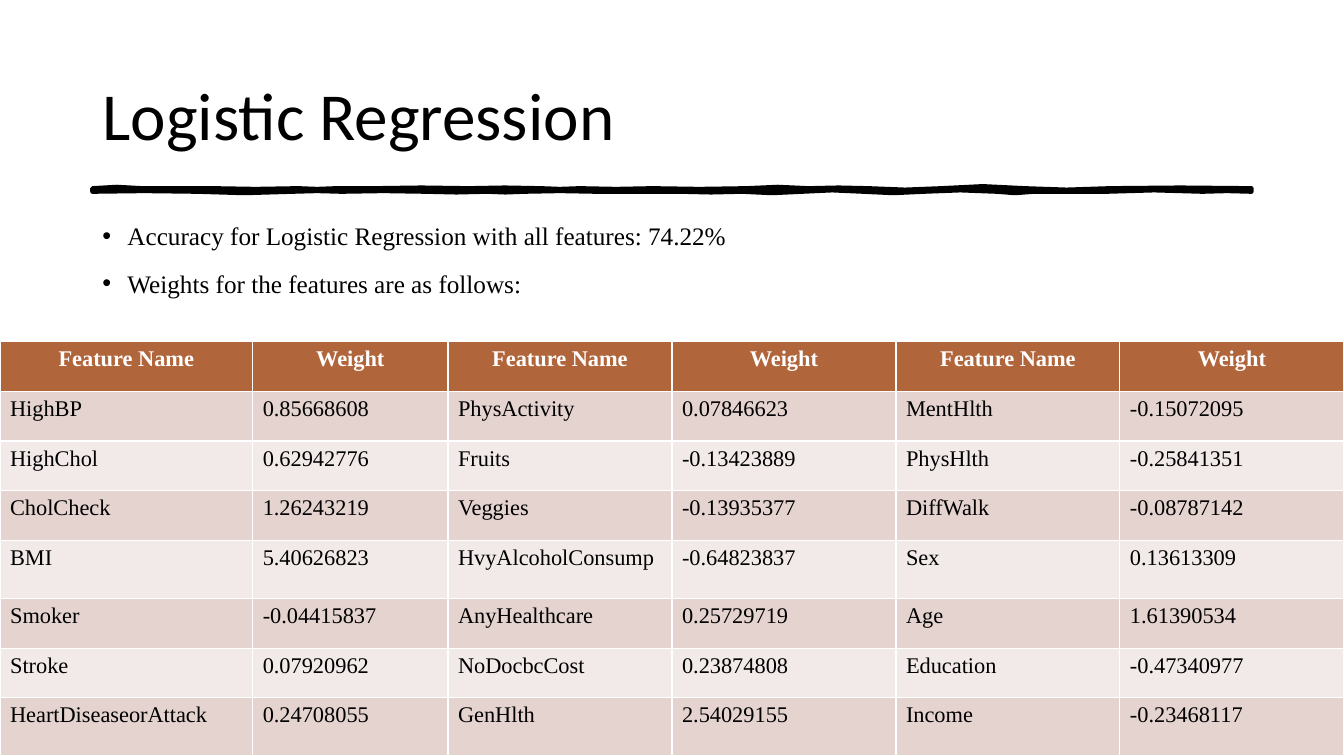
from lxml import etree
from pptx import Presentation
from pptx.dml.color import RGBColor
from pptx.enum.text import MSO_ANCHOR, PP_ALIGN
from pptx.oxml.ns import qn
from pptx.util import Pt

PX = 6350  # 144 px to the inch
LEFT, CENTER = PP_ALIGN.LEFT, PP_ALIGN.CENTER
MIDDLE = MSO_ANCHOR.MIDDLE

BLACK = RGBColor(0, 0, 0)
WHITE = RGBColor(255, 255, 255)
THEME = {
    "title": {"name": "Calibri", "size": Pt(48), "color": BLACK, "bold": False},
    "bullet": {"name": "Times New Roman", "size": Pt(18), "color": BLACK, "bold": False},
    "header": {"name": "Times New Roman", "size": Pt(16), "color": WHITE, "bold": True},
    "cell": {"name": "Times New Roman", "size": Pt(16), "color": BLACK, "bold": False},
    "header_fill": RGBColor.from_string("B1653B"),
    "band_fills": [RGBColor.from_string("F2EAE8"), RGBColor.from_string("E4D3CE")],
    "brush": BLACK,
}

MARGIN, RIGHT, CONTENT_WIDTH = 132, 1788, 1656
TABLE_TOP = 488

# Each wave of the brush line: its end x and the rise at its middle
BRUSH_TOP = [
    (203, -2), (305, 0), (426, 1), (480, 1), (534, 0), (670, -1), (773, -1), (828, 1),
    (932, 1), (1067, 1), (1155, -2), (1241, -1), (1345, 2), (1464, -3), (1585, 2), (1788, -1),
]
BRUSH_BOTTOM = [
    (1718, -1), (1581, -2), (1477, 0), (1424, 2), (1320, -2), (1233, 2), (1146, -2), (1060, 2),
    (972, 1), (852, 0), (749, -1), (696, 1), (608, 1), (488, -1), (418, -1), (281, 2), (132, -1),
]

BULLETS = [
    "Accuracy for Logistic Regression with all features: 74.22%",
    "Weights for the features are as follows:",
]
COLUMN_WIDTHS = [361, 279, 320, 320, 320, 320]
ROW_HEIGHTS = [71, 71, 71, 71, 83, 71, 71, 83]
ROWS = [
    ["Feature Name", "Weight"] * 3,
    ["HighBP", "0.85668608", "PhysActivity", "0.07846623", "MentHlth", "-0.15072095"],
    ["HighChol", "0.62942776", "Fruits", "-0.13423889", "PhysHlth", "-0.25841351"],
    ["CholCheck", "1.26243219", "Veggies", "-0.13935377", "DiffWalk", "-0.08787142"],
    ["BMI", "5.40626823", "HvyAlcoholConsump", "-0.64823837", "Sex", "0.13613309"],
    ["Smoker", "-0.04415837", "AnyHealthcare", "0.25729719", "Age", "1.61390534"],
    ["Stroke", "0.07920962", "NoDocbcCost", "0.23874808", "Education", "-0.47340977"],
    ["HeartDiseaseorAttack", "0.24708055", "GenHlth", "2.54029155", "Income", "-0.23468117"],
]


def write(para, text, style, align):
    span = para.add_run()
    span.text = text
    para.alignment = align
    for name, value in THEME[style].items():
        if name == "color":
            span.font.color.rgb = value
        else:
            setattr(span.font, name, value)


def edge_points(start_x, base_y, waves):
    """List the start, then the middle and end of every wave."""
    points = [(start_x, base_y)]
    for end_x, rise in waves:
        points += [((start_x + end_x) // 2, base_y + rise), (end_x, base_y)]
        start_x = end_x
    return points


deck = Presentation()
deck.slide_width, deck.slide_height = 1920 * PX, 1080 * PX
page = deck.slides.add_slide(deck.slide_layouts[5])

# Brush line under the title
points = edge_points(MARGIN, 269, BRUSH_TOP) + edge_points(RIGHT, 274, BRUSH_BOTTOM)
builder = page.shapes.build_freeform(*points[0], scale=PX)
builder.add_line_segments(points[1:], close=True)
brush = builder.convert_to_shape()
brush.shadow.inherit = False
for paint in (brush.fill, brush.line.fill):
    paint.solid()
    paint.fore_color.rgb = THEME["brush"]
brush.line.width = Pt(3)

# Title
title = page.shapes.title
title.left, title.top, title.width, title.height = MARGIN * PX, 58 * PX, CONTENT_WIDTH * PX, 209 * PX
title.text_frame.vertical_anchor = MIDDLE
write(title.text_frame.paragraphs[0], "Logistic Regression", "title", LEFT)

# Bullets
box = page.shapes.add_textbox(MARGIN * PX, 304 * PX, CONTENT_WIDTH * PX, 141 * PX)
box.text_frame.word_wrap = True
for index, text in enumerate(BULLETS):
    para = box.text_frame.add_paragraph() if index else box.text_frame.paragraphs[0]
    write(para, text, "bullet", LEFT)
    para.line_spacing = 1.1
    para.space_before = Pt(10)
    properties = para._p.get_or_add_pPr()
    properties.set("marL", str(36 * PX))
    properties.set("indent", str(-36 * PX))
    etree.SubElement(properties, qn("a:buFont"), typeface="Arial")
    etree.SubElement(properties, qn("a:buChar"), char="•")

# Feature weights
table = page.shapes.add_table(
    len(ROWS), len(COLUMN_WIDTHS), 0, TABLE_TOP * PX, sum(COLUMN_WIDTHS) * PX, sum(ROW_HEIGHTS) * PX
).table
for column, width in zip(table.columns, COLUMN_WIDTHS):
    column.width = width * PX
for row_index, (row, height) in enumerate(zip(table.rows, ROW_HEIGHTS)):
    row.height = height * PX
    is_header = row_index == 0
    for cell, text in zip(row.cells, ROWS[row_index]):
        cell.fill.solid()
        cell.fill.fore_color.rgb = THEME["header_fill"] if is_header else THEME["band_fills"][row_index % 2]
        style, align = ("header", CENTER) if is_header else ("cell", LEFT)
        write(cell.text_frame.paragraphs[0], text, style, align)

deck.save("out.pptx")
